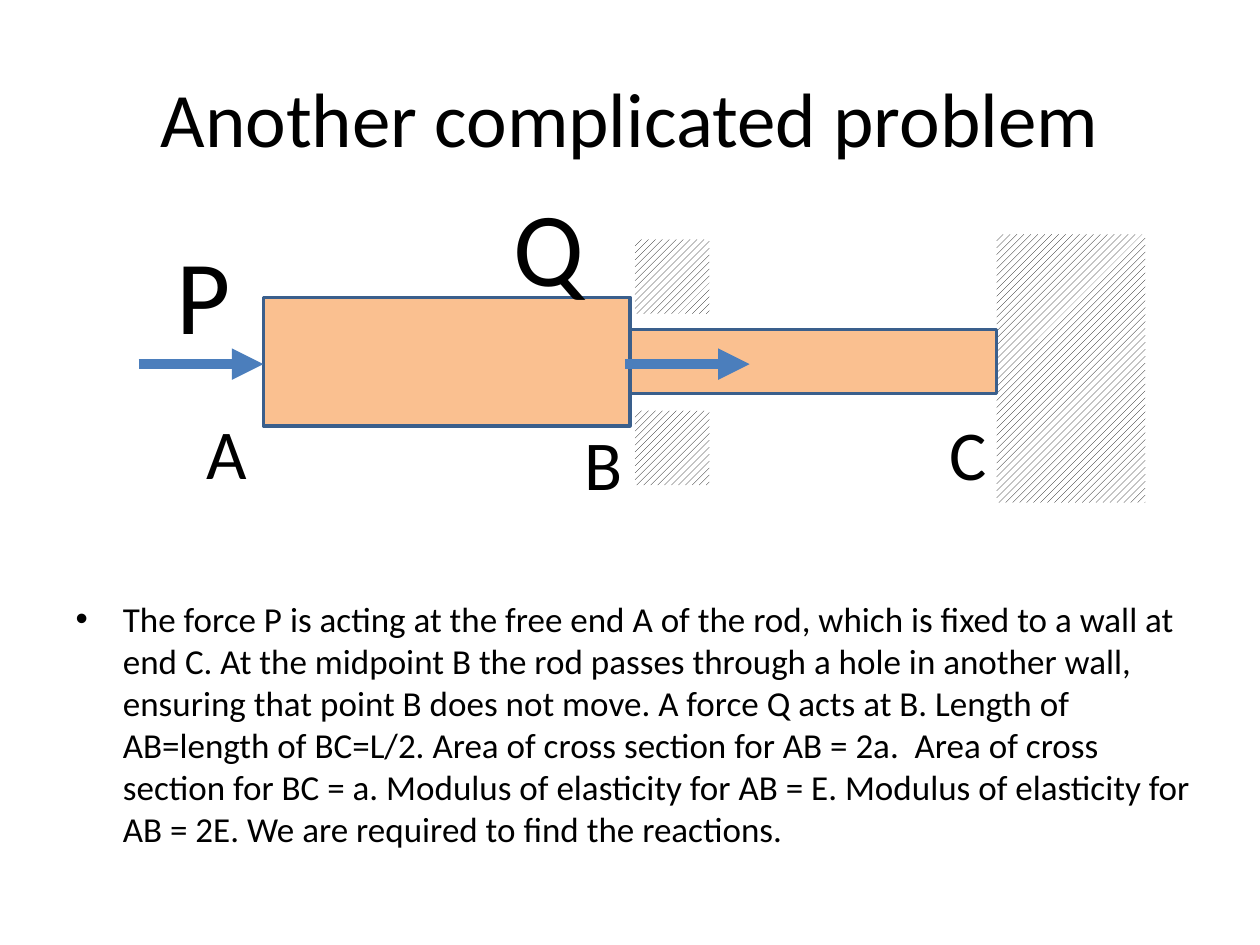
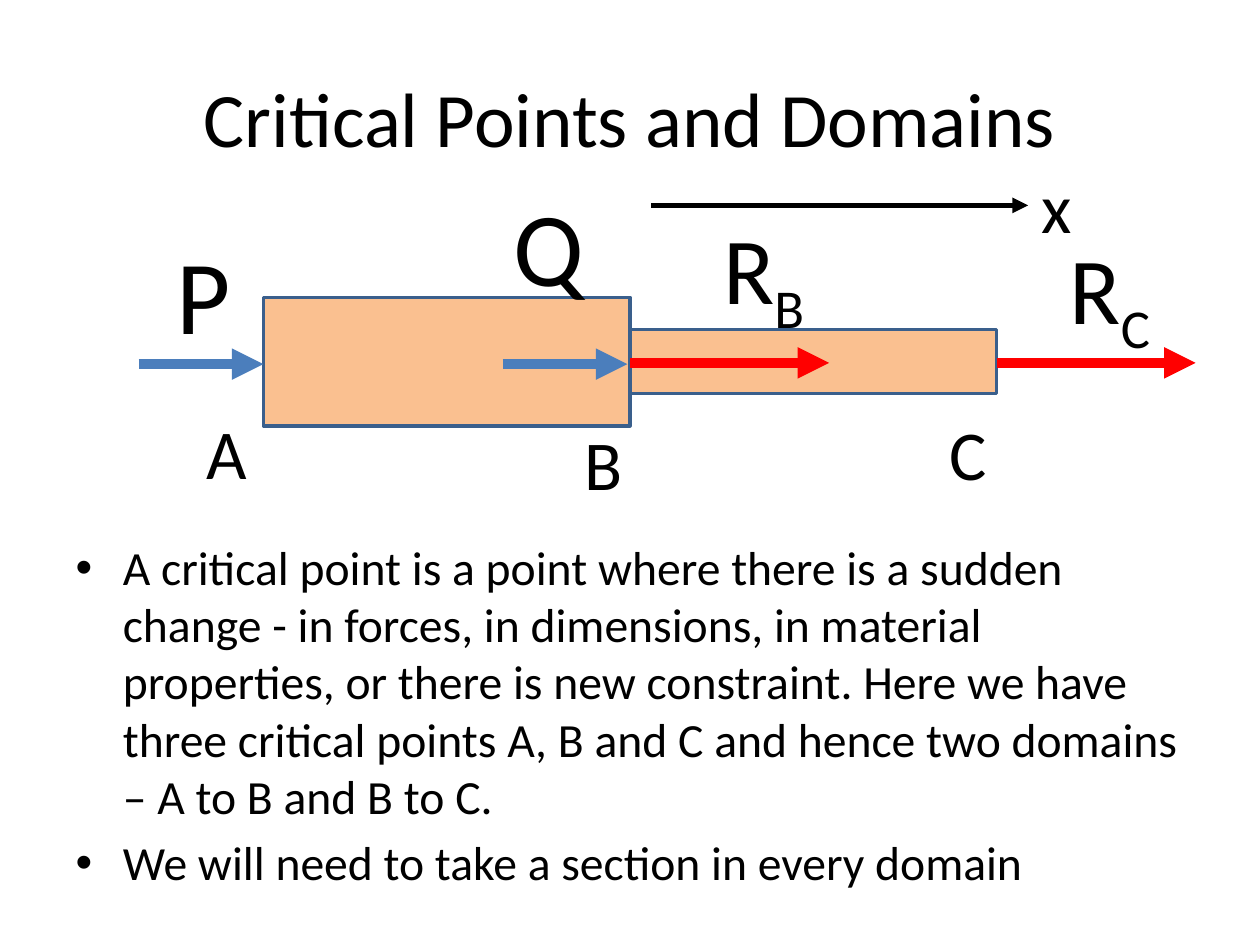
"""Builds two slides on the reactions of a stepped rod."""
import pptx
import pptx.dml.color
import pptx.enum.dml
import pptx.enum.shapes
import pptx.enum.text
import pptx.oxml
import pptx.oxml.ns
import pptx.util
from pptx.util import Inches

FONT = "Calibri"
BLACK, WHITE = "000000", "FFFFFF"
ROD_FILL, ROD_LINE = "FAC090", "3A5F8C"
FORCE, REACTION = "4B7EBC", "FF0000"
ROD_BOX = (2.09, 2.36, 5.82, 1.02)
FORCE_LENGTH, REACTION_LENGTH = 0.99, 1.58

PROBLEM = (
    "The force P is acting at the free end A of the rod, which is fixed to a wall at end C. "
    "At the midpoint B the rod passes through a hole in another wall, ensuring that point B "
    "does not move. A force Q acts at B. Length of AB=length of BC=L/2. Area of cross section "
    "for AB = 2a.  Area of cross section for BC = a. Modulus of elasticity for AB = E. "
    "Modulus of elasticity for AB = 2E. We are required to find the reactions."
)
CRITICAL_POINTS = (
    "A critical point is a point where there is a sudden change - in forces, in dimensions, "
    "in material properties, or there is new constraint. Here we have three critical points "
    "A, B and C and hence two domains \u2013 A to B and B to C."
)
SECTIONS = "We will need to take a section in every domain"


def color(hex_code):
    """Turn a hex string into a colour."""
    return pptx.dml.color.RGBColor.from_string(hex_code)


def add_span(para, text, size, subscript=False):
    """Add one run of black text to a paragraph."""
    span = para.add_run()
    span.text = text
    span.font.name = FONT
    span.font.size = pptx.util.Pt(size)
    span.font.color.rgb = color(BLACK)
    if subscript:
        span.font._element.set("baseline", "-25000")


def add_label(page, left, top, width, height, text, size, subscript=""):
    """Add a letter with an optional subscript."""
    box = page.shapes.add_textbox(Inches(left), Inches(top), Inches(width), Inches(height))
    box.text_frame.word_wrap = True
    para = box.text_frame.paragraphs[0]
    add_span(para, text, size)
    if subscript:
        add_span(para, subscript, size, subscript=True)


def add_rectangle(page, left, top, width, height):
    """Add a rectangle without a shadow."""
    shape = page.shapes.add_shape(
        pptx.enum.shapes.MSO_SHAPE.RECTANGLE,
        Inches(left), Inches(top), Inches(width), Inches(height))
    shape.shadow.inherit = False
    return shape


def add_bar(page, left, top, width, height):
    """Add one outlined segment of the rod."""
    bar = add_rectangle(page, left, top, width, height)
    bar.fill.solid()
    bar.fill.fore_color.rgb = color(ROD_FILL)
    bar.line.color.rgb = color(ROD_LINE)
    bar.line.width = pptx.util.Pt(2)


def add_wall(page, left, top, width, height):
    """Add a hatched wall."""
    wall = add_rectangle(page, left, top, width, height)
    wall.fill.patterned()
    wall.fill.pattern = pptx.enum.dml.MSO_PATTERN.WIDE_UPWARD_DIAGONAL
    wall.fill.fore_color.rgb = color(BLACK)
    wall.fill.back_color.rgb = color(WHITE)
    wall.line.fill.background()


def add_arrow(page, left, top, length, hex_code, weight=6):
    """Add an arrow pointing right."""
    arrow = page.shapes.add_connector(
        pptx.enum.shapes.MSO_CONNECTOR.STRAIGHT,
        Inches(left), Inches(top), Inches(left + length), Inches(top))
    arrow.line.color.rgb = color(hex_code)
    arrow.line.width = pptx.util.Pt(weight)
    head = pptx.oxml.parse_xml(
        f'<a:tailEnd {pptx.oxml.ns.nsdecls("a")} type="triangle"/>')
    arrow.line._get_or_add_ln().append(head)
    arrow._element.spPr.append(
        pptx.oxml.parse_xml(f'<a:effectLst {pptx.oxml.ns.nsdecls("a")}/>'))


def add_walls(page, left, top, width, height):
    """Add the end wall and the two halves of the wall with the hole."""
    middle = left + width / 2
    add_wall(page, left + width, top - 0.5, 1.18, 2.13)
    for wall_top in (top - 0.46, top + height - 0.12):
        add_wall(page, middle + 0.04, wall_top, 0.59, 0.59)


def add_rod(page, left, top, width, height, force_q_left):
    """Add the stepped rod, its points and the forces P and Q."""
    half = width / 2
    axis = top + height / 2 + 0.02
    add_bar(page, left, top, half, height)
    add_bar(page, left + half, top + height / 4, half, height / 2)
    for name, x, y in (("A", -0.55, 0.84), ("B", 2.45, 0.93), ("C", 5.35, 0.85)):
        add_label(page, left + x, top + y, 0.54, 0.77, name, 40)
    for name, x, y in (("P", -0.79, -0.59), ("Q", 1.89, -0.97)):
        add_label(page, left + x, top + y, 0.79, 1.11, name, 60)
    for arrow_left in (left - FORCE_LENGTH, left + force_q_left):
        add_arrow(page, arrow_left, axis, FORCE_LENGTH, FORCE)


def add_reactions(page, left, top, width, height):
    """Add the reactions at B and C and the x axis."""
    middle = left + width / 2
    axis = top + height / 2 + 0.01
    for name, x, label_left, label_top in (
            ("B", middle, middle + 0.64, top - 0.74),
            ("C", left + width, left + width + 0.48, top - 0.58)):
        add_arrow(page, x, axis, REACTION_LENGTH, REACTION)
        add_label(page, label_left, label_top, 1.09, 1.01, "R", 54, name)
    add_arrow(page, middle + 0.17, top - 0.73, 2.99, BLACK, 3)
    add_label(page, left + width + 0.26, top - 1.11, 0.54, 0.77, "x", 40)


def fill_placeholder(holder, box, texts, size):
    """Place a placeholder in a box and write its paragraphs."""
    holder.left, holder.top, holder.width, holder.height = map(Inches, box)
    frame = holder.text_frame
    frame.auto_size = pptx.enum.text.MSO_AUTO_SIZE.NONE
    for index, text in enumerate(texts):
        para = frame.add_paragraph() if index else frame.paragraphs[0]
        add_span(para, text, size)


def add_page(deck, title, body_box, texts, size):
    """Add a slide with a title and a bulleted body."""
    page = deck.slides.add_slide(deck.slide_layouts[1])
    fill_placeholder(page.shapes.title, (0.5, 0.3, 9, 1.25), [title], 44)
    fill_placeholder(page.placeholders[1], body_box, texts, size)
    return page


def main():
    """Build and save the deck."""
    deck = pptx.Presentation()
    deck.slide_width, deck.slide_height = Inches(10), Inches(7.5)

    page = add_page(deck, "Another complicated problem", (0.5, 4.69, 9.15, 2), [PROBLEM], 20)
    add_walls(page, *ROD_BOX)
    add_rod(page, *ROD_BOX, force_q_left=2.87)

    page = add_page(deck, "Critical Points and Domains", (0.5, 4.22, 9, 2.48),
                    [CRITICAL_POINTS, SECTIONS], 27.2)
    add_rod(page, *ROD_BOX, force_q_left=1.9)
    add_reactions(page, *ROD_BOX)

    deck.save("out.pptx")


main()
